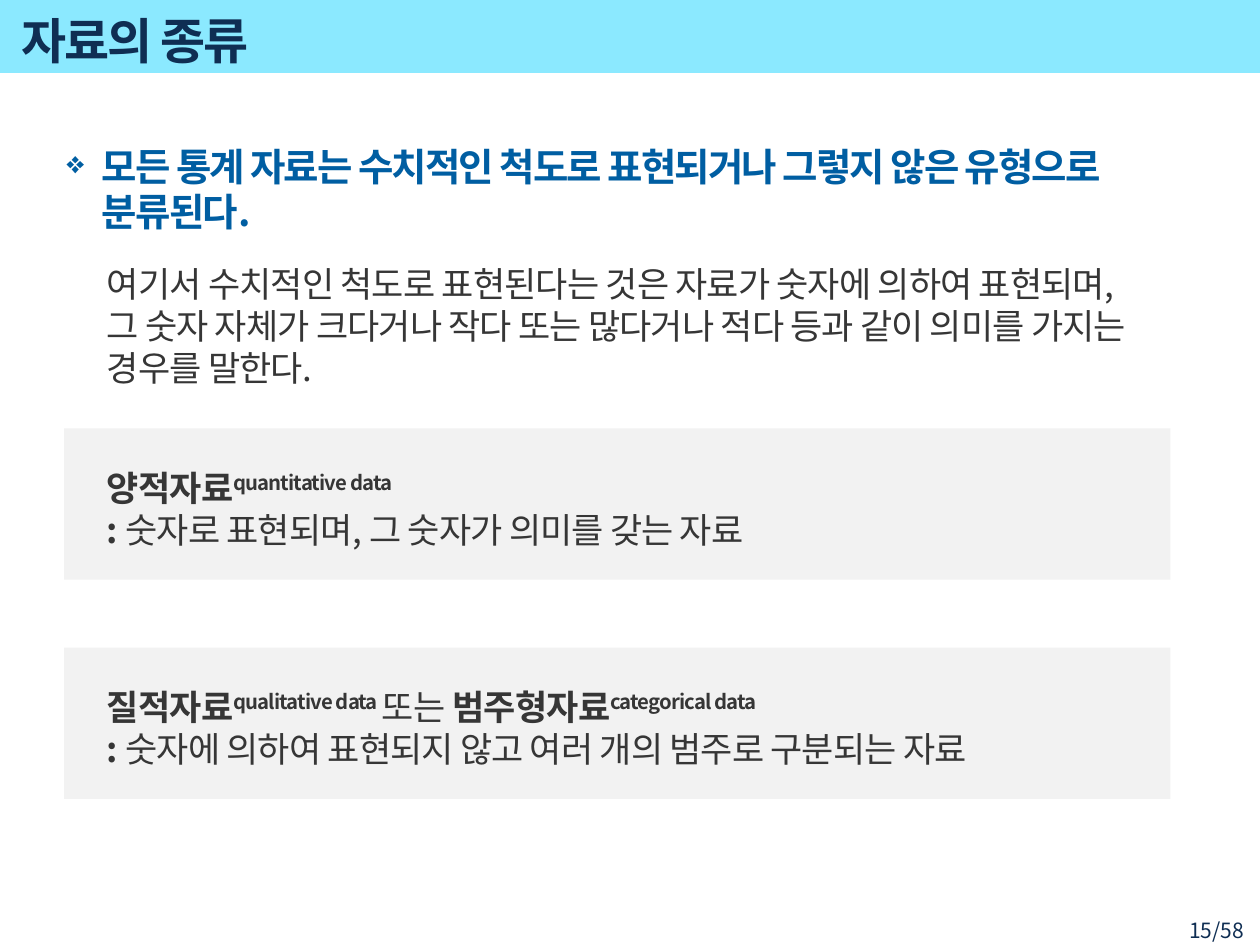
from dataclasses import dataclass

from pptx import Presentation
from pptx.dml.color import RGBColor
from pptx.enum import shapes, text
from pptx.oxml.ns import qn
from pptx.util import Inches, Pt

FONT = "Noto Sans CJK KR"
NAVY = RGBColor(0x0F, 0x2E, 0x53)
BLUE = RGBColor(0x00, 0x5E, 0xA2)
DARK = RGBColor(0x36, 0x36, 0x36)
CYAN = RGBColor(0x8B, 0xE9, 0xFF)
GREY = RGBColor(0xF2, 0xF2, 0xF2)


@dataclass(frozen=True)
class Box:
    left: float
    top: float
    width: float
    height: float

    def emu(self) -> list:
        return [Inches(v) for v in (self.left, self.top, self.width, self.height)]


@dataclass(frozen=True)
class Style:
    size: float
    color: RGBColor
    bold: bool = False
    track: float = 0  # letter spacing in points


@dataclass(frozen=True)
class Part:
    words: str
    bold: bool = False
    raised: bool = False


@dataclass(frozen=True)
class Panel:
    top: float
    term: tuple
    note: str


TITLE = Style(28, NAVY, True, -1)
HEAD = Style(22, BLUE, True, -1)
BODY = Style(20, DARK, False, -0.5)
PAGE = Style(12, NAVY)

PANELS = [
    Panel(3.4, (Part("양적자료", True), Part("quantitative data", True, True)),
          "숫자로 표현되며, 그 숫자가 의미를 갖는 자료"),
    Panel(5.14, (Part("질적자료", True), Part("qualitative data ", True, True),
                 Part("또는 "), Part("범주형자료", True),
                 Part("categorical data", True, True)),
          "숫자에 의하여 표현되지 않고 여러 개의 범주로 구분되는 자료"),
]


def add_bar(slide, box: Box, color: RGBColor):
    bar = slide.shapes.add_shape(shapes.MSO_SHAPE.RECTANGLE, *box.emu())
    bar.shadow.inherit = False
    bar.fill.solid()
    bar.fill.fore_color.rgb = color
    bar.line.fill.background()


def add_run(para, part: Part, style: Style):
    run = para.add_run()
    run.text = part.words
    if part.bold != style.bold:
        run.font.bold = part.bold
    props = run._r.get_or_add_rPr()
    props.set("spc", str(int(style.track * 100)))
    if part.raised:
        props.set("baseline", "30000")
    props.makeelement(qn("a:ea"), {})
    east = props.makeelement(qn("a:ea"), {"typeface": FONT})
    props.append(east)


def add_text(slide, box: Box, style: Style, *lines: tuple):
    """Write lines of parts as one paragraph with line breaks."""
    frame = slide.shapes.add_textbox(*box.emu()).text_frame
    frame.word_wrap = True
    frame.margin_top = Inches(0.07)
    para = frame.paragraphs[0]
    para.line_spacing = Pt(round(style.size * 1.2))
    font = para.font
    font.name, font.size, font.bold = FONT, Pt(style.size), style.bold
    font.color.rgb = style.color
    for i, line in enumerate(lines):
        if i:
            para.add_line_break()
        for part in line:
            add_run(para, part, style)
    return frame


def add_bullet(para, mark: str, indent: float):
    props = para._p.get_or_add_pPr()
    props.set("marL", str(Inches(indent)))
    props.set("indent", str(-Inches(indent)))
    size = props.makeelement(qn("a:buSzPct"), {"val": "80000"})
    char = props.makeelement(qn("a:buChar"), {"char": mark})
    rest = props.find(qn("a:defRPr"))
    rest.addprevious(size)
    rest.addprevious(char)


def main():
    deck = Presentation()
    deck.slide_width, deck.slide_height = Inches(10), Inches(7.5)
    slide = deck.slides.add_slide(deck.slide_layouts[6])

    # Title band and page number
    add_bar(slide, Box(0, -0.02, 10, 0.6), CYAN)
    page = add_text(slide, Box(9.05, 7.22, 0.92, 0.23), PAGE, (Part("15/58"),))
    page.paragraphs[0].alignment = text.PP_ALIGN.RIGHT
    title = add_text(slide, Box(0.07, 0.04, 8.51, 0.52), TITLE,
                     (Part("자료의 종류", True),))
    title.vertical_anchor = text.MSO_ANCHOR.MIDDLE

    # Main statement and its explanation
    head = add_text(slide, Box(0.43, 1.07, 8.84, 0.47), HEAD, (Part(
        "모든 통계 자료는 수치적인 척도로 표현되거나 그렇지 않은 유형으로 분류된다.", True),))
    add_bullet(head.paragraphs[0], "❖", 0.28)
    add_text(slide, Box(0.75, 2.01, 8.39, 1.11), BODY, (Part(
        "여기서 수치적인 척도로 표현된다는 것은 자료가 숫자에 의하여 표현되며, "
        "그 숫자 자체가 크다거나 작다 또는 많다거나 적다 등과 같이 의미를 "
        "가지는 경우를 말한다."),))

    # Definitions
    for panel in PANELS:
        add_bar(slide, Box(0.51, panel.top, 8.78, 1.2), GREY)
        add_text(slide, Box(0.75, panel.top + 0.23, 8.39, 0.77), BODY,
                 panel.term, (Part(": ", True), Part(panel.note)))

    deck.save("out.pptx")


if __name__ == "__main__":
    main()
